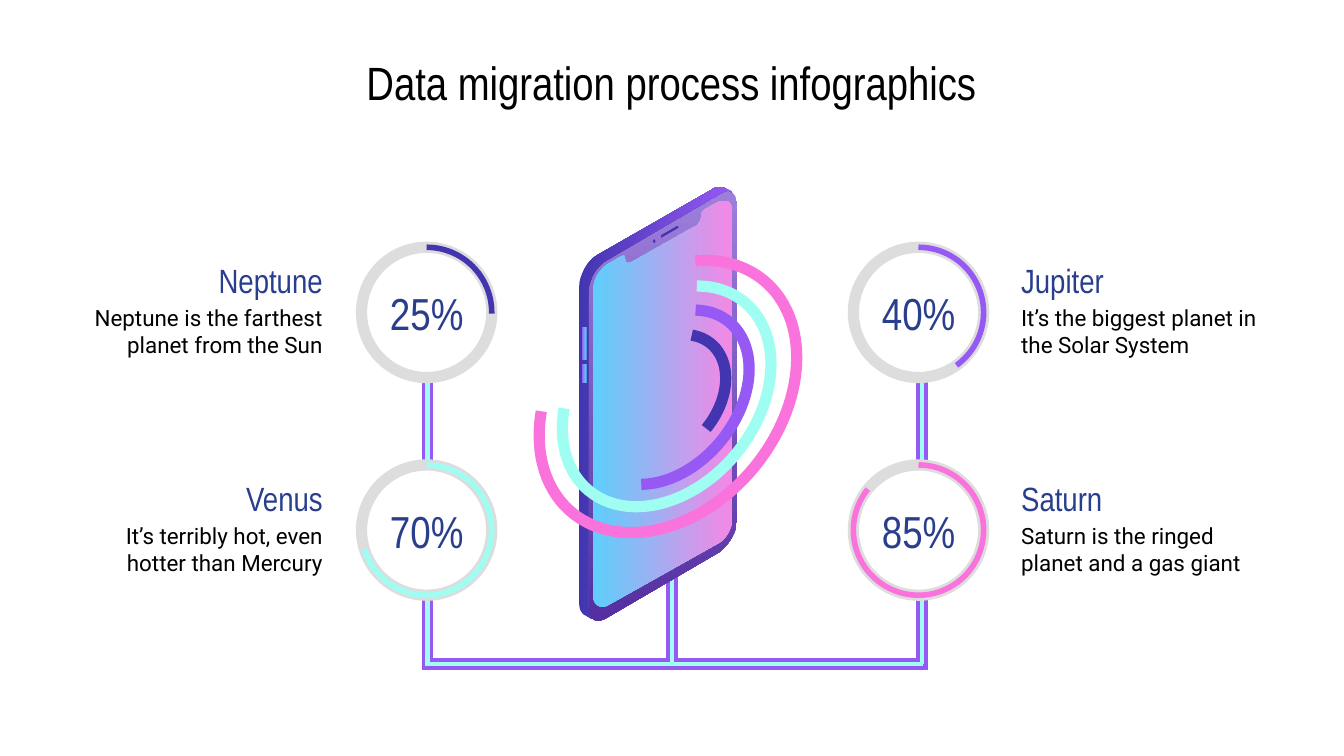
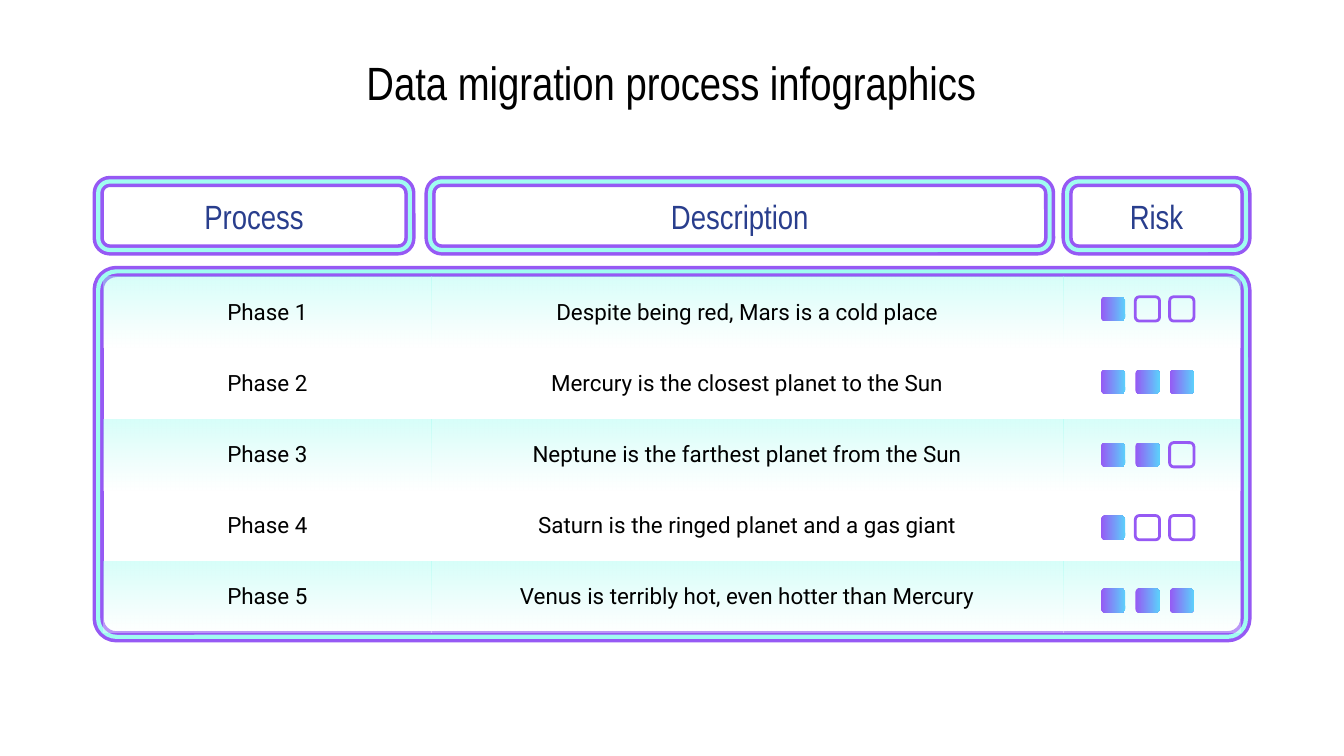
import pptx
import pptx.dml.color
import pptx.enum.shapes
import pptx.enum.text
import pptx.oxml
import pptx.oxml.ns
import pptx.util

Pt = pptx.util.Pt
SHAPE = pptx.enum.shapes.MSO_SHAPE
ALIGN = pptx.enum.text.PP_ALIGN
STRAIGHT = pptx.enum.shapes.MSO_CONNECTOR.STRAIGHT
qn = pptx.oxml.ns.qn

C = {
    "white": "FFFFFF", "black": "000000", "navy": "293E8D", "grey": "DDDDDD",
    "purple": "9659F4", "mint": "A0FDF1", "pink": "FA72DC", "indigo": "4335AF",
    "sky": "5CCFFB", "rose": "F587E6", "lilac": "9D7FDB", "violet": "552FA1",
}
FONTS = {
    "title": {"name": "Arial Narrow", "size": Pt(25), "color": "black"},
    "number": {"name": "Arial Narrow", "size": Pt(24), "color": "navy"},
    "heading": {"name": "Arial Narrow", "size": Pt(18), "color": "navy"},
    "body": {"name": "Roboto", "size": Pt(12), "color": "black"},
}
SIDES = ("margin_left", "margin_top", "margin_right", "margin_bottom")
TITLE = "Data migration process infographics"
PIPE = (("purple", 6), ("mint", 2.25))  # wide line with a thin one on top


def paint(sp, fill=None, line=None, width=1):
    """Fill is None, a colour name, or (from, to, angle); cells and connectors work too."""
    if hasattr(sp, "fill"):
        if fill is None:
            sp.fill.background()
        elif isinstance(fill, str):
            sp.fill.solid()
            sp.fill.fore_color.rgb = pptx.dml.color.RGBColor.from_string(C[fill])
        else:
            sp.fill.gradient()
            sp.fill.gradient_angle = fill[2]
            for stop, name in zip(sp.fill.gradient_stops, fill):
                stop.color.rgb = pptx.dml.color.RGBColor.from_string(C[name])
    if hasattr(sp, "line"):
        if line is None:
            sp.line.fill.background()
        else:
            sp.line.color.rgb = pptx.dml.color.RGBColor.from_string(C[line])
            sp.line.width = Pt(width)
        if hasattr(sp, "shadow"):
            sp.shadow.inherit = False
        else:
            sp._element.spPr.append(pptx.oxml.parse_xml(
                "<a:effectLst %s/>" % pptx.oxml.ns.nsdecls("a")))


def write(box, text, style, align=ALIGN.CENTER, margin=7.2):
    """Box is a text frame or a table cell."""
    for side in SIDES:
        setattr(box, side, Pt(margin))
    box.vertical_anchor = pptx.enum.text.MSO_ANCHOR.MIDDLE
    tf = getattr(box, "text_frame", box)
    tf.word_wrap = True
    p = tf.paragraphs[0]
    p.alignment = align
    r = p.add_run()
    r.text = text
    for key, value in FONTS[style].items():
        if key == "color":
            r.font.color.rgb = pptx.dml.color.RGBColor.from_string(C[value])
        else:
            setattr(r.font, key, value)


prs = pptx.Presentation()
prs.slide_width, prs.slide_height = Pt(720), Pt(405)

# Slides with the shared title
slides = []
for _ in range(2):
    s = prs.slides.add_slide(prs.slide_layouts[5])
    t = s.shapes.title
    t.left, t.top, t.width, t.height = Pt(40.3), Pt(23.8), Pt(638.6), Pt(40.3)
    write(t.text_frame, TITLE, "title")
    t.text_frame.auto_size = pptx.enum.text.MSO_AUTO_SIZE.NONE
    slides.append(s)

# Slide 1: pipes joining the rings to the phone
s = slides[0]
left, middle, right, floor = 229, 360, 493.9, 355.7
pipes = s.shapes.add_group_shape().shapes
for color, width in PIPE:
    foot = floor + (3 if color == "purple" else 0)
    for x1, y1, x2, y2 in (
        (middle, 290.9, middle, floor),
        (left, foot, left, 202.3),
        (right, foot, right, 202.3),
        (left - 1.5, floor, right + 0.5, floor),
    ):
        cn = pipes.add_connector(STRAIGHT, Pt(x1), Pt(y1), Pt(x2), Pt(y2))
        paint(cn, line=color, width=width)

# Phone outlines: two numbers are a corner, six are a Bézier curve
body = [
    (389.5, 102.2), (388.1, 102.2, 386.6, 103, 385.2, 103.7), (324.7, 139),
    (319, 141.8, 315.4, 149.8, 315.4, 155.5), (315.4, 325.4),
    (315.4, 329.8, 317.5, 332.6, 320.4, 332.6),
    (321.8, 332.6, 323.3, 331.9, 324.7, 331.2), (385.2, 295.9),
    (390.2, 292.3, 394.8, 285.1, 394.8, 278.6), (394.8, 109.4),
    (394.8, 105.1, 392.4, 102.2, 389.5, 102.2),
]
screen = [
    (326.2, 141.1), (332.6, 137.5), (334.1, 136.8, 334.8, 136.8, 334.8, 138.2),
    (334.8, 140.4, 336.2, 141.8, 338.4, 140.4), (371.5, 121.7),
    (374.4, 121, 375.8, 117.4, 375.8, 115.2),
    (375.8, 113.8, 376.6, 113, 377.3, 112.3), (383.8, 108.7),
    (388.8, 105.8, 392.4, 108, 392.4, 113.8), (392.4, 277.2),
    (392.4, 283, 388.8, 289.4, 383.8, 291.6), (326.2, 324),
    (321.8, 326.9, 317.5, 324, 317.5, 319), (317.5, 155.5),
    (317.5, 149.8, 321.8, 143.3, 326.2, 141.1),
]
edge = [
    (385.9, 100.1), (384.5, 100.1, 383, 100.1, 381.6, 101.5), (319.7, 136.8),
    (314.6, 139.7, 310.3, 147.6, 310.3, 153.4), (310.3, 323.3),
    (310.3, 326.9, 311.8, 329, 313.9, 329.8), (317.5, 331.9),
    (316.1, 330.5, 315.4, 328.3, 315.4, 325.4), (315.4, 156.2),
    (315.4, 149.8, 319.7, 142.6, 324.7, 139.7), (385.9, 103.7),
    (387.4, 103, 388.8, 102.2, 390.2, 102.2),
    (391, 102.2, 391.7, 103, 392.4, 103), (388.1, 100.8),
    (387.4, 100.1, 386.6, 100.1, 385.9, 100.1),
]
speaker = [(354.2, 127.4), (362.9, 122.4), (363.6, 121.7), (362.9, 121), (354.2, 126)]

phone = s.shapes.add_group_shape().shapes
for outline, fill in (
    (body, ("lilac", "violet", 270)),
    (screen, ("sky", "rose", 0)),
    (edge, ("indigo", "purple", 0)),
    (speaker, "indigo"),
):
    points = [outline[0]]
    for step in outline[1:]:
        if len(step) == 2:
            points.append(step)
            continue
        x0, y0 = points[-1]
        x1, y1, x2, y2, x3, y3 = step
        for i in range(1, 9):
            t = i / 8
            a, b, c, d = (1 - t) ** 3, 3 * t * (1 - t) ** 2, 3 * t * t * (1 - t), t ** 3
            points.append((a * x0 + b * x1 + c * x2 + d * x3,
                           a * y0 + b * y1 + c * y2 + d * y3))
    points = [(Pt(x), Pt(y)) for x, y in points]
    fb = phone.build_freeform(*points[0])
    fb.add_line_segments(points[1:], close=True)
    paint(fb.convert_to_shape(), fill)

# Phone side buttons and camera
for kind, x, y, w, h, fill in (
    (SHAPE.RECTANGLE, 311.8, 175, 2.2, 18, ("purple", "sky", 0)),
    (SHAPE.RECTANGLE, 311.8, 195.1, 2.2, 10.1, ("purple", "sky", 0)),
    (SHAPE.OVAL, 349.9, 128.2, 1.2, 2, "indigo"),
):
    paint(phone.add_shape(kind, Pt(x), Pt(y), Pt(w), Pt(h)), fill)

# Progress rings with their labels; arc ends are in degrees
ring = 69.8
upper, lower = 132.5, 249.1
for x, y, share, end, color, name, note in (
    (193.7, lower, "70%", 162.8, "mint", "Venus", "It’s terribly hot, even hotter than Mercury"),
    (457.2, lower, "85%", 219, "pink", "Saturn", "Saturn is the ringed planet and a gas giant"),
    (193.7, upper, "25%", 1.1, "indigo", "Neptune", "Neptune is the farthest planet from the Sun"),
    (457.2, upper, "40%", 54.3, "purple", "Jupiter", "It’s the biggest planet in the Solar System"),
):
    sp = s.shapes.add_shape(SHAPE.OVAL, Pt(x), Pt(y), Pt(ring), Pt(ring))
    paint(sp, "white" if y == lower else None, "grey", 6)
    sp = s.shapes.add_shape(SHAPE.ARC, Pt(x), Pt(y), Pt(ring), Pt(ring))
    sp.adjustments[0], sp.adjustments[1] = 270 * 0.6, end * 0.6
    paint(sp, None, color, 3)
    label_x, side = (36, ALIGN.RIGHT) if x < middle else (540, ALIGN.LEFT)
    for text, style, tx, dy, w, h, align in (
        (name, "heading", label_x, 7.6, 144, 20.2, side),
        (note, "body", label_x, 27.5, 144, 34.6, side),
        (share, "number", x - 13.7, 24.8, 97.2, 20.2, ALIGN.CENTER),
    ):
        tb = s.shapes.add_textbox(Pt(tx), Pt(y + dy), Pt(w), Pt(h))
        write(tb.text_frame, text, style, align)

# Tilted arcs around the phone
for x, y, w, h, start, end, color in (
    (298.1, 131.8, 119.5, 161.3, 145.15, 80.31, "pink"),
    (308.9, 146.9, 96.5, 131, 147.47, 80.31, "mint"),
    (320.4, 160.6, 74.2, 104.4, 149.1, 40.28, "purple"),
    (330.5, 175.7, 54, 73.4, 151.35, 0, "indigo"),
):
    sp = s.shapes.add_shape(SHAPE.ARC, Pt(x), Pt(y), Pt(w), Pt(h))
    sp.adjustments[0], sp.adjustments[1] = start, end
    sp.rotation = 39.5
    paint(sp, None, color, 6)

# Slide 2: double frames for the headings and the table
s = slides[1]
for x, y, w, h, corner, text in (
    (52.6, 97.2, 167, 36.7, 0.17, "Process"),
    (230.4, 97.2, 331.9, 36.7, 0.17, "Description"),
    (52.6, 145.4, 614.9, 195.8, 0.05, None),
    (571.7, 97.2, 95.8, 36.7, 0.17, "Risk"),
):
    for color, width in PIPE:
        sp = s.shapes.add_shape(SHAPE.ROUNDED_RECTANGLE, Pt(x), Pt(y), Pt(w), Pt(h))
        sp.adjustments[0] = corner
        paint(sp, None, color, width)
    if text:
        write(sp.text_frame, text, "heading")

# Phase table, every other row shaded
phases = (
    ("Despite being red, Mars is a cold place", 1),
    ("Mercury is the closest planet to the Sun", 3),
    ("Neptune is the farthest planet from the Sun", 2),
    ("Saturn is the ringed planet and a gas giant", 1),
    ("Venus is terribly hot, even hotter than Mercury", 3),
)
widths, row_h = (175.7, 338.4, 95), 38.1
gf = s.shapes.add_table(len(phases), len(widths), Pt(55.4), Pt(148.3),
                        Pt(sum(widths)), Pt(row_h * len(phases)))
tbl = gf.table
tbl.first_row = tbl.horz_banding = False
tbl._tbl.tblPr.find(qn("a:tableStyleId")).text = "{2D5ABB26-0587-4C30-8999-92F81FD0307C}"
for col, w in zip(tbl.columns, widths):
    col.width = Pt(w)
for i, (note, risk) in enumerate(phases):
    tbl.rows[i].height = Pt(row_h)
    for j, text in enumerate((f"Phase {i + 1}", note, None)):
        cell = tbl.cell(i, j)
        if text:
            write(cell, text, "body", margin=0)
        paint(cell, None if i % 2 else ("mint", "white", 270))
        for clr, alpha in zip(cell._tc.tcPr.iter(qn("a:srgbClr")), (42, 37)):
            clr.append(pptx.oxml.parse_xml('<a:alpha %s val="%d"/>' % (
                pptx.oxml.ns.nsdecls("a"), alpha * 1000)))

# Risk squares
for i, (note, risk) in enumerate(phases):
    for j in range(3):
        sp = s.shapes.add_shape(SHAPE.ROUNDED_RECTANGLE, Pt(589.8 + 18.4 * j),
                                Pt(159 + 39.06 * i), Pt(13), Pt(13))
        if j < risk:
            paint(sp, ("purple", "sky", 0))
        else:
            paint(sp, None, "purple", 1.5)

prs.save("out.pptx")
